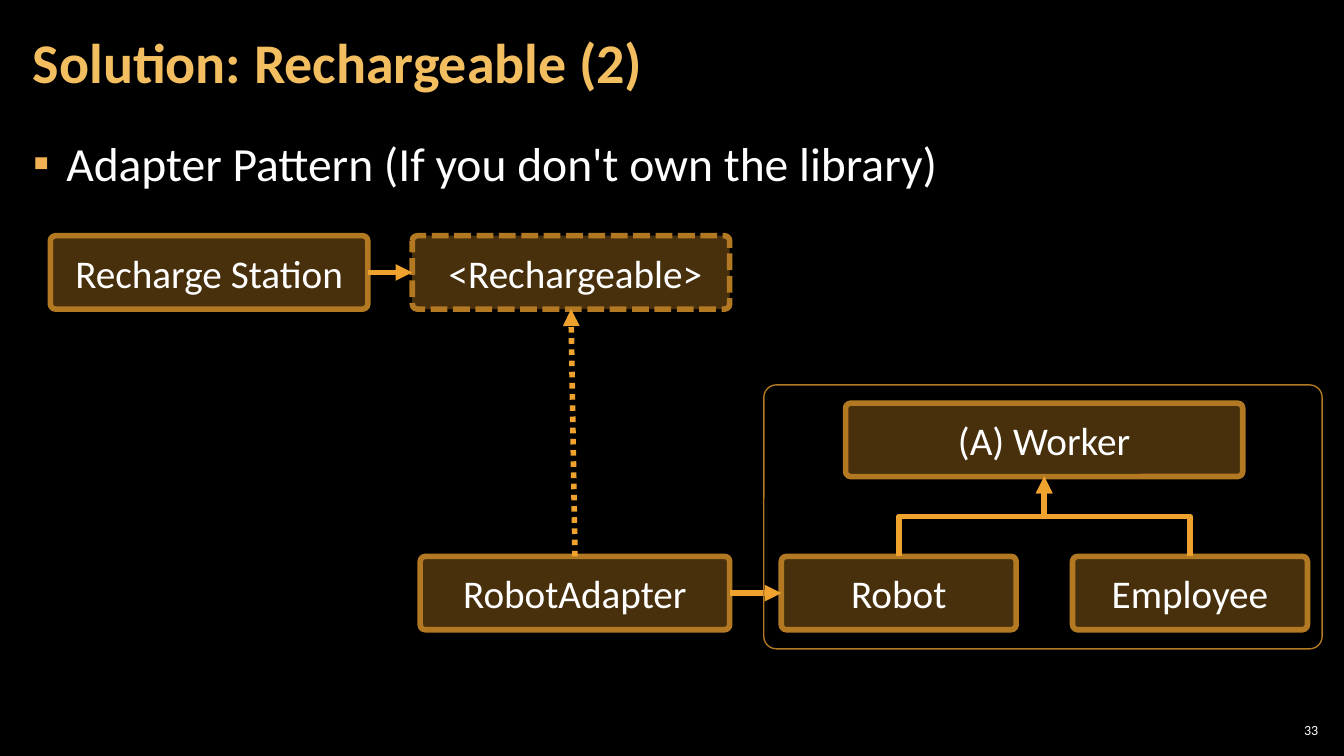
from dataclasses import dataclass

from lxml import etree
from pptx import Presentation
from pptx import util as u
from pptx.dml.color import RGBColor
from pptx.enum import dml, shapes, text
from pptx.oxml.ns import qn


@dataclass(frozen=True)
class Theme:
    font: str = "Calibri"
    background: str = "000000"
    white: str = "FFFFFF"
    title: str = "F3BE60"
    bullet: str = "F2B254"
    accent: str = "F0A22E"
    border: str = "B27822"
    box_opacity: int = 30
    title_size: int = 40
    body_size: int = 34
    box_size: int = 28
    number_size: int = 10
    heavy_line: int = 4
    thin_line: int = 1
    box_height: float = 1.85


def rgb(code):
    return RGBColor.from_string(code)


def child(parent, tag, **attributes):
    return etree.SubElement(parent, qn(tag), attributes)


class DiagramPage:
    """Draws styled elements on one slide; positions are in centimetres."""

    def __init__(self, deck, theme):
        self.theme = theme
        self.page = deck.slides.add_slide(deck.slide_layouts[1])
        fill = self.page.background.fill
        fill.solid()
        fill.fore_color.rgb = rgb(theme.background)

    def set_text(self, shape, words, size, color, bold=False, align=None,
                 anchor=text.MSO_ANCHOR.MIDDLE, inset=(0.3, 0.1)):
        frame = shape.text_frame
        frame.word_wrap = True
        frame.auto_size = text.MSO_AUTO_SIZE.NONE
        frame.vertical_anchor = anchor
        frame.margin_left = frame.margin_right = u.Cm(inset[0])
        frame.margin_top = frame.margin_bottom = u.Cm(inset[1])
        para = frame.paragraphs[0]
        para.text = words
        para.alignment = align
        para.font.name = self.theme.font
        para.font.size = u.Pt(size)
        para.font.bold = bold
        para.font.color.rgb = rgb(color)
        return para

    def place(self, shape, left, top, width, height):
        shape.left, shape.top = u.Cm(left), u.Cm(top)
        shape.width, shape.height = u.Cm(width), u.Cm(height)

    def title(self, words):
        title = self.page.shapes.title
        self.place(title, 0.53, 0.1, 26.59, 3.07)
        para = self.set_text(title, words, self.theme.title_size,
                             self.theme.title, bold=True,
                             align=text.PP_ALIGN.LEFT)
        para.line_spacing = 0.9

    def bullet(self, words):
        body = self.page.placeholders[1]
        self.place(body, 0.53, 3.2, 32.79, 15.47)
        properties = body.text_frame.paragraphs[0]._p.get_or_add_pPr()
        indent = u.Cm(0.84)
        properties.set("marL", str(indent))
        properties.set("indent", str(-indent))
        child(child(properties, "a:buClr"), "a:srgbClr", val=self.theme.bullet)
        child(properties, "a:buFont", typeface="Arial")
        child(properties, "a:buChar", char="▪")
        para = self.set_text(body, words, self.theme.body_size,
                             self.theme.white, anchor=text.MSO_ANCHOR.TOP)
        para.line_spacing = 1.05
        para.space_after = u.Pt(6)
        para.space_before = u.Pt(0)

    def page_number(self, number):
        box = self.page.shapes.add_textbox(
            u.Cm(32.13), u.Cm(18.14), u.Cm(1.19), u.Cm(0.53))
        self.set_text(box, number, self.theme.number_size, self.theme.white,
                      align=text.PP_ALIGN.RIGHT, inset=(0.1, 0.1))

    def frame(self, left, top, width, height, rounding=0.047):
        """Add an unfilled rounded rectangle with a thin border."""
        shape = self.page.shapes.add_shape(
            shapes.MSO_SHAPE.ROUNDED_RECTANGLE,
            u.Cm(left), u.Cm(top), u.Cm(width), u.Cm(height))
        shape.adjustments[0] = rounding
        shape.shadow.inherit = False
        shape.fill.background()
        shape.line.color.rgb = rgb(self.theme.border)
        shape.line.width = u.Pt(self.theme.thin_line)
        return shape

    def box(self, words, left, top, width, dash=None):
        box = self.frame(left, top, width, self.theme.box_height, rounding=0.07)
        box.fill.solid()
        box.fill.fore_color.rgb = rgb(self.theme.accent)
        color = box._element.spPr.find(qn("a:solidFill"))[0]
        child(color, "a:alpha", val=str(self.theme.box_opacity * 1000))
        box.line.width = u.Pt(self.theme.heavy_line)
        if dash:
            box.line.dash_style = dash
        self.set_text(box, words, self.theme.box_size, self.theme.white,
                      align=text.PP_ALIGN.CENTER)
        return box

    def style_arrow(self, arrow, dash=None):
        arrow.line.color.rgb = rgb(self.theme.accent)
        arrow.line.width = u.Pt(self.theme.heavy_line)
        if dash:
            arrow.line.dash_style = dash
        properties = arrow._element.spPr
        child(properties.find(qn("a:ln")), "a:tailEnd", type="triangle")
        child(properties, "a:effectLst")

    def arrow(self, source, source_side, target, target_side, dash=None):
        arrow = self.page.shapes.add_connector(
            shapes.MSO_CONNECTOR.STRAIGHT, 0, 0, 0, 0)
        arrow.begin_connect(source, source_side)
        arrow.end_connect(target, target_side)
        self.style_arrow(arrow, dash)

    def inherit(self, derived, base):
        """Lead an elbow arrow from the top of derived to the bottom of base.

        An elbow starts sideways, so it is laid out flat and turned by 270°.
        """
        start_x = derived.left + derived.width // 2
        end_x = base.left + base.width // 2
        end_y = base.top + base.height
        middle_x, middle_y = (start_x + end_x) // 2, (derived.top + end_y) // 2
        rise, run = (derived.top - end_y) // 2, (start_x - end_x) // 2
        arrow = self.page.shapes.add_connector(
            shapes.MSO_CONNECTOR.ELBOW, middle_x - rise, middle_y + run,
            middle_x + rise, middle_y - run)
        arrow._element.spPr.find(qn("a:xfrm")).set("rot", str(270 * 60000))
        self.style_arrow(arrow)


def main():
    deck = Presentation()
    deck.slide_width, deck.slide_height = u.Cm(33.87), u.Cm(19.05)
    page = DiagramPage(deck, Theme())
    page.title("Solution: Rechargeable (2)")
    page.bullet("Adapter Pattern (If you don't own the library)")
    page.page_number("33")

    upper_row, worker_row, lower_row = 5.94, 10.16, 14.02
    top, left, bottom, right = range(4)
    rechargeable = page.box(" <Rechargeable>", 10.39, upper_row, 8,
                            dash=dml.MSO_LINE.SQUARE_DOT)
    station = page.box("Recharge Station", 1.27, upper_row, 8)
    adapter = page.box("RobotAdapter", 10.59, lower_row, 7.8)
    worker = page.box("(A) Worker", 21.31, worker_row, 10.01)
    employee = page.box("Employee", 27.03, lower_row, 5.92)
    robot = page.box("Robot", 19.69, lower_row, 5.92)

    page.arrow(adapter, top, rechargeable, bottom, dash=dml.MSO_LINE.ROUND_DOT)
    page.arrow(station, right, rechargeable, left)
    page.arrow(adapter, right, robot, left)
    for derived in (employee, robot):
        page.inherit(derived, worker)
    page.frame(19.25, 9.7, 14.07, 6.65)

    deck.save("out.pptx")


if __name__ == "__main__":
    main()
